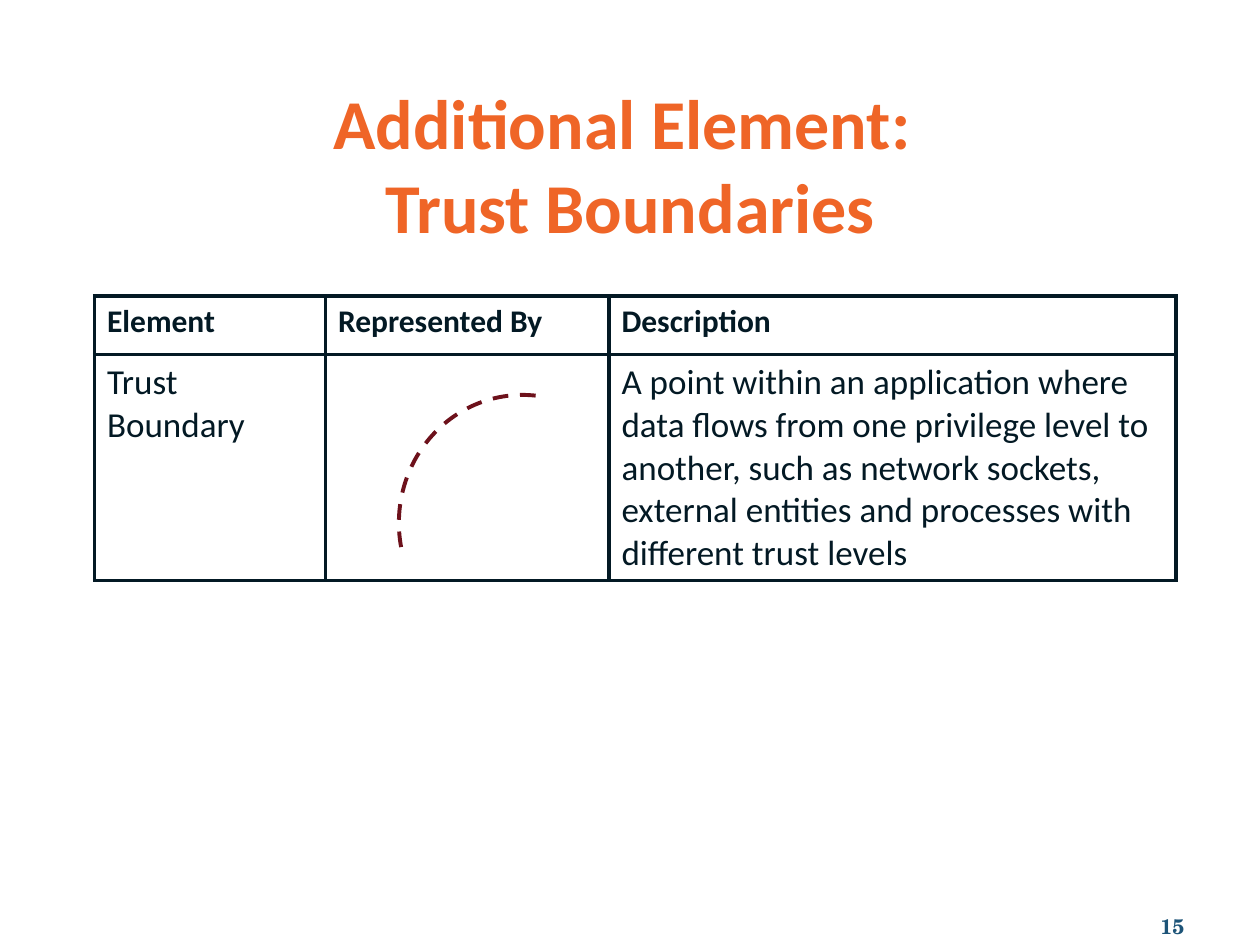
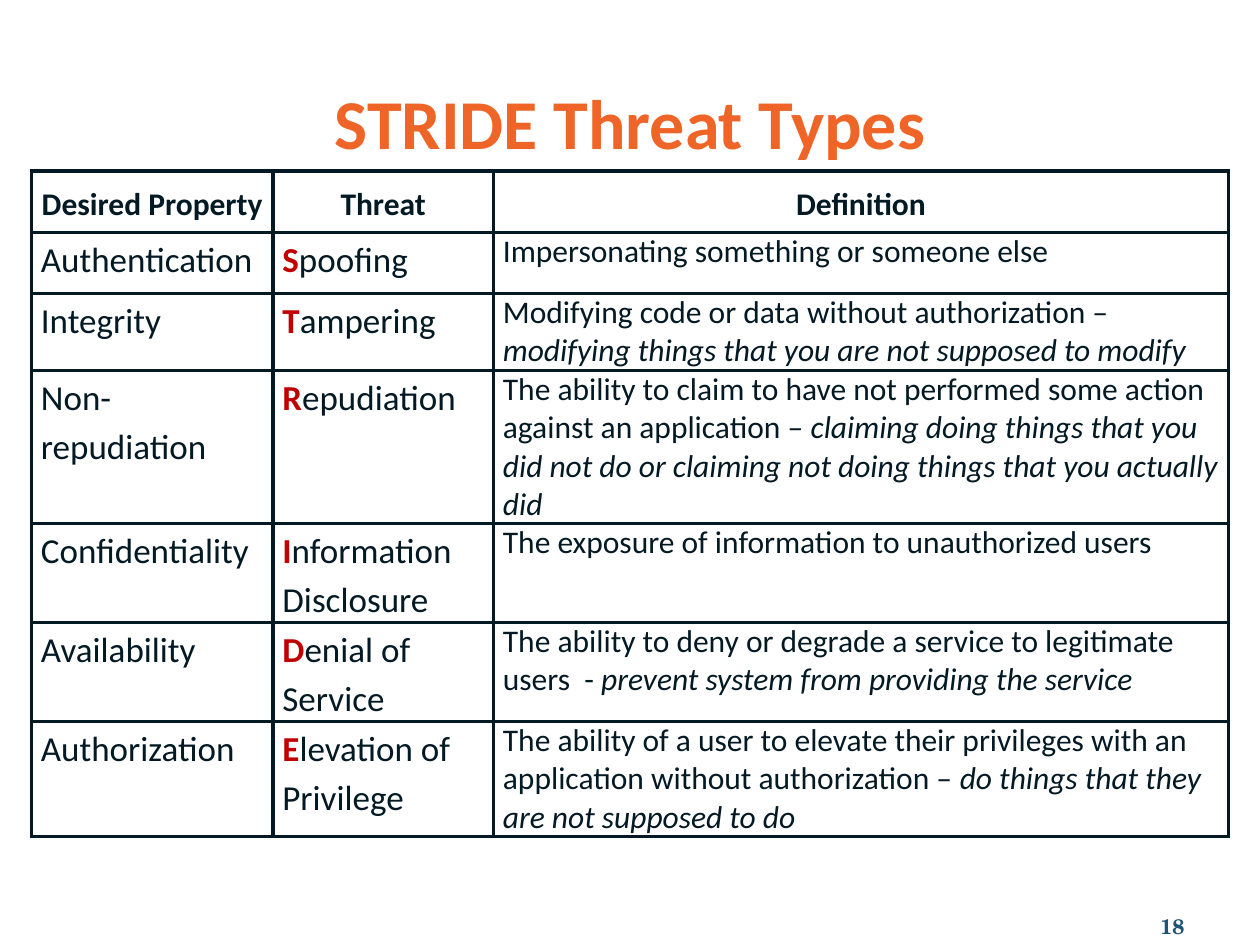
import pptx
import pptx.dml.color
import pptx.enum.dml
import pptx.enum.shapes
import pptx.enum.text
import pptx.oxml.ns
import pptx.util
from dataclasses import dataclass
from lxml import etree

Pt = pptx.util.Pt
Align = pptx.enum.text.PP_ALIGN
Anchor = pptx.enum.text.MSO_ANCHOR
qn = pptx.oxml.ns.qn


@dataclass(frozen=True)
class Theme:
    ink: str = "031924"
    orange: str = "EF6527"
    blue: str = "1D5478"
    red: str = "C00000"
    wine: str = "6D111B"
    font: str = "Calibri"
    serif: str = "TeX Gyre Schola"
    title: int = 40
    body: int = 20
    head: int = 18
    page: int = 12
    line: float = 2.25


def rgb(code):
    return pptx.dml.color.RGBColor.from_string(code)


def write(frame, text, size, color, font, bold=False, align=Align.LEFT,
          space=None, anchor=Anchor.TOP):
    """Fill a frame with a string, or with a list of (string, changes) runs."""
    frame.word_wrap = True
    frame.vertical_anchor = anchor
    para = frame.paragraphs[0]
    para.alignment = align
    if space:
        para.line_spacing = space
    runs = [(text, {})] if isinstance(text, str) else text
    for words, change in runs:
        for count, part in enumerate(words.split("\n")):
            if count:
                para.add_line_break()
            run = para.add_run()
            run.text = part
            run.font.size = Pt(size)
            run.font.name = font
            run.font.bold = change.get("bold", bold)
            run.font.italic = change.get("italic", False)
            run.font.color.rgb = rgb(change.get("color", color))


class Deck:
    def __init__(self, theme):
        self.theme = theme
        self.show = pptx.Presentation()
        self.show.slide_width, self.show.slide_height = Pt(720), Pt(540)
        self.slide = None

    def page(self, title, number):
        """Start a slide with its title and page number."""
        t = self.theme
        self.slide = self.show.slides.add_slide(self.show.slide_layouts[5])
        head = self.slide.shapes.title
        head.left, head.top, head.width, head.height = Pt(36), Pt(42), Pt(648), Pt(55.5)
        write(head.text_frame, title, t.title, t.orange, t.font,
              bold=True, align=Align.CENTER)
        head.text_frame.auto_size = pptx.enum.text.MSO_AUTO_SIZE.SHAPE_TO_FIT_TEXT
        foot = self.slide.shapes.add_textbox(Pt(534), Pt(504), Pt(150), Pt(36))
        write(foot.text_frame, str(number), t.page, t.blue, t.serif,
              bold=True, align=Align.RIGHT, anchor=Anchor.BOTTOM)

    def table(self, left, top, cols, rows):
        """Add an empty ruled table with the given widths and heights."""
        frame = self.slide.shapes.add_table(
            len(rows), len(cols), Pt(left), Pt(top), Pt(sum(cols)), Pt(sum(rows)))
        grid = frame.table
        grid.first_row = grid.horz_banding = False
        for col, width in zip(grid.columns, cols):
            col.width = Pt(width)
        for row, height in zip(grid.rows, rows):
            row.height = Pt(height)
        for cell in grid.iter_cells():
            self.rule(cell)
            cell.fill.background()
        return grid

    def rule(self, cell):
        """Draw all four borders of a cell."""
        props = cell._tc.get_or_add_tcPr()
        for side in "LRTB":
            line = etree.SubElement(props, qn("a:ln" + side), w=str(Pt(self.theme.line)))
            fill = etree.SubElement(line, qn("a:solidFill"))
            etree.SubElement(fill, qn("a:srgbClr"), val=self.theme.ink)

    def cell(self, cell, text, size, inset=None, anchor=Anchor.TOP, **form):
        if inset is not None:
            cell.margin_left = cell.margin_right = Pt(inset)
            cell.margin_top = cell.margin_bottom = 0
        write(cell.text_frame, text, size, self.theme.ink, self.theme.font, **form)
        cell.vertical_anchor = anchor

    def arc(self, left, top, width, height, start, end, turn):
        arc = self.slide.shapes.add_shape(
            pptx.enum.shapes.MSO_SHAPE.ARC, Pt(left), Pt(top), Pt(width), Pt(height))
        arc.adjustments[0], arc.adjustments[1] = start, end
        arc.rotation = turn
        arc.shadow.inherit = False
        arc.fill.background()
        arc.line.color.rgb = rgb(self.theme.wine)
        arc.line.width = Pt(self.theme.line)
        arc.line.dash_style = pptx.enum.dml.MSO_LINE.DASH


def trust(deck):
    t = deck.theme
    deck.page("Additional Element: \nTrust Boundaries", 15)
    grid = deck.table(54, 169.2, [132, 162, 324], [33.5, 129])
    for col, name in enumerate(["Element", "Represented By", "Description"]):
        deck.cell(grid.cell(0, col), name, t.head, bold=True)
    deck.cell(grid.cell(1, 0), "Trust Boundary", t.body)
    deck.cell(grid.cell(1, 2),
              "A point within an application where data flows from one privilege "
              "level to another, such as network sockets, external entities and "
              "processes with different trust levels", t.body)
    deck.arc(225.4, 228.2, 146.2, 141.1, 155.22, 3.64, 270)


THREATS = [
    ("Authentication", "Spoofing", "Impersonating something or someone else", ""),
    ("Integrity", "Tampering", "Modifying code or data without authorization – ",
     "modifying things that you are not supposed to modify"),
    ("Non-repudiation", "Repudiation",
     "The ability to claim to have not performed some action against an application – ",
     "claiming doing things that you did not do or claiming not doing things "
     "that you actually did"),
    ("Confidentiality", "Information Disclosure",
     "The exposure of information to unauthorized users", ""),
    ("Availability", "Denial of Service",
     "The ability to deny or degrade a service to legitimate users  - ",
     "prevent system from providing the service"),
    ("Authorization", "Elevation of Privilege",
     "The ability of a user to elevate their privileges with an application "
     "without authorization – ", "do things that they are not supposed to do"),
]


def stride(deck):
    t = deck.theme
    inset, space = 5.4, 1.15
    deck.page("STRIDE Threat Types", 18)
    grid = deck.table(18, 97.7, [138, 126, 420], [35.3, 34.7, 44, 87.5, 56.5, 56.5, 65.7])
    for col, name in enumerate(["Desired Property", "Threat", "Definition"]):
        deck.cell(grid.cell(0, col), name, t.head, inset, Anchor.MIDDLE,
                  bold=True, align=Align.CENTER, space=space)
    for row, (goal, threat, plain, stress) in enumerate(THREATS, 1):
        mark = [(threat[0], {"color": t.red, "bold": True}), (threat[1:], {})]
        means = [(plain, {})] + ([(stress, {"italic": True})] if stress else [])
        deck.cell(grid.cell(row, 0), goal, t.body, inset, space=space)
        deck.cell(grid.cell(row, 1), mark, t.body, inset, space=space)
        deck.cell(grid.cell(row, 2), means, t.head, inset)


def main():
    deck = Deck(Theme())
    trust(deck)
    stride(deck)
    deck.show.save("out.pptx")


if __name__ == "__main__":
    main()
